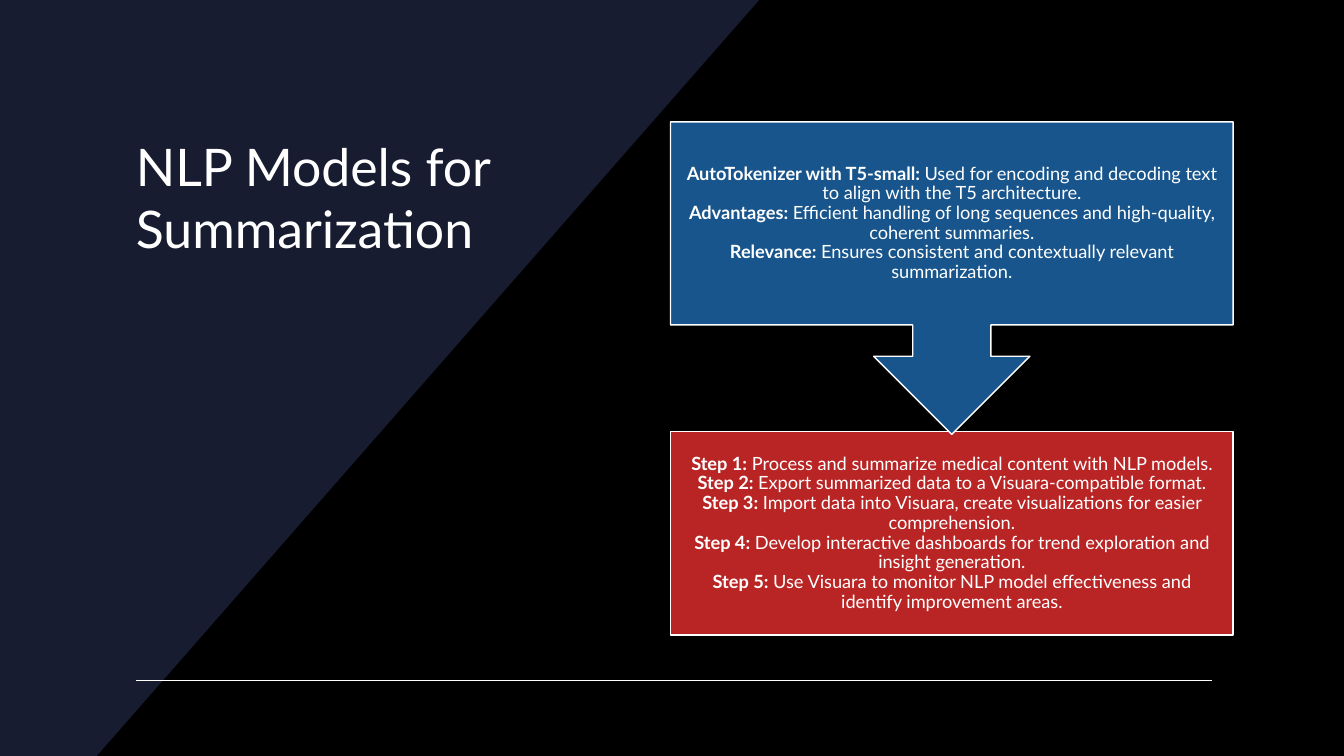
from pptx import Presentation, util as u
from pptx.dml.color import RGBColor
from pptx.enum import shapes, text
from pptx.oxml.ns import qn
from lxml import etree

# Content
TITLE = "NLP Models for Summarization"
MODEL = [
    ("AutoTokenizer with T5-small:", " Used for encoding and decoding text to align with the T5 architecture."),
    ("Advantages:", " Efficient handling of long sequences and high-quality, coherent summaries."),
    ("Relevance:", " Ensures consistent and contextually relevant summarization."),
]
STEPS = [
    ("Step 1:", " Process and summarize medical content with NLP models."),
    ("Step 2:", " Export summarized data to a Visuara-compatible format."),
    ("Step 3:", " Import data into Visuara, create visualizations for easier comprehension."),
    ("Step 4:", " Develop interactive dashboards for trend exploration and insight generation."),
    ("Step 5:", " Use Visuara to monitor NLP model effectiveness and identify improvement areas."),
]
COLORS = {"black": "000000", "navy": "181C30", "white": "FFFFFF", "blue": "18558C", "red": "B92525"}
FONT = "Lato"
WEDGE = [(0, 0), (7.53, 0), (0.96, 7.5), (0, 7.5)]
BOX_X, BOX_W = 6.65, 5.58
SHAPE = shapes.MSO_SHAPE
BOXES = [  # preset, top, height, fill, lines
    (SHAPE.RECTANGLE, 4.28, 2.02, "red", STEPS),
    (SHAPE.DOWN_ARROW_CALLOUT, 1.21, 3.1, "blue", MODEL),
]


def rgb(name):
    return RGBColor.from_string(COLORS[name])


def add_run(p, words, size, bold=False):
    r = p.add_run()
    r.text = words
    r.font.name, r.font.size, r.font.bold = FONT, u.Pt(size), bold
    r.font.color.rgb = rgb("white")


def add_box(s, preset, top, height, fill, lines):
    sp = s.shapes.add_shape(preset, *map(u.Inches, (BOX_X, top, BOX_W, height)))
    sp.shadow.inherit = False
    sp.fill.solid()
    sp.fill.fore_color.rgb = rgb(fill)
    sp.line.color.rgb = rgb("white")
    sp.line.width = u.Pt(1)
    tf = sp.text_frame
    tf.word_wrap = True
    tf.vertical_anchor = text.MSO_ANCHOR.MIDDLE
    tf.margin_left = tf.margin_right = tf.margin_top = tf.margin_bottom = u.Inches(0.1)
    for i, (label, detail) in enumerate(lines):
        p = tf.add_paragraph() if i else tf.paragraphs[0]
        p.alignment = text.PP_ALIGN.CENTER
        p.line_spacing = 0.9
        add_run(p, label, 13, True)
        add_run(p, detail, 13)


def main():
    prs = Presentation()
    prs.slide_width, prs.slide_height = u.Inches(13.33), u.Inches(7.5)
    s = prs.slides.add_slide(prs.slide_layouts[6])
    s.background.fill.solid()
    s.background.fill.fore_color.rgb = rgb("black")

    # Navy wedge
    points = [(u.Inches(x), u.Inches(y)) for x, y in WEDGE]
    fb = s.shapes.build_freeform(*points[0])
    fb.add_line_segments(points[1:], close=True)
    wedge = fb.convert_to_shape()
    wedge.shadow.inherit = False
    wedge.fill.solid()
    wedge.fill.fore_color.rgb = rgb("navy")
    wedge.line.fill.background()

    # Title
    title = s.shapes.add_textbox(*map(u.Inches, (1.25, 1.29, 3.86, 1.71)))
    title.text_frame.word_wrap = True
    add_run(title.text_frame.paragraphs[0], TITLE, 37)

    # Rule along the bottom
    rule = s.shapes.add_connector(shapes.MSO_CONNECTOR.STRAIGHT, *map(u.Inches, (1.35, 6.75, 12.02, 6.75)))
    rule.line.color.rgb = rgb("white")
    rule.line.width = u.Pt(1)
    etree.SubElement(rule._element.spPr, qn("a:effectLst"))

    # Steps box, then the model callout pointing down at it
    for box in BOXES:
        add_box(s, *box)

    prs.save("out.pptx")


if __name__ == "__main__":
    main()
